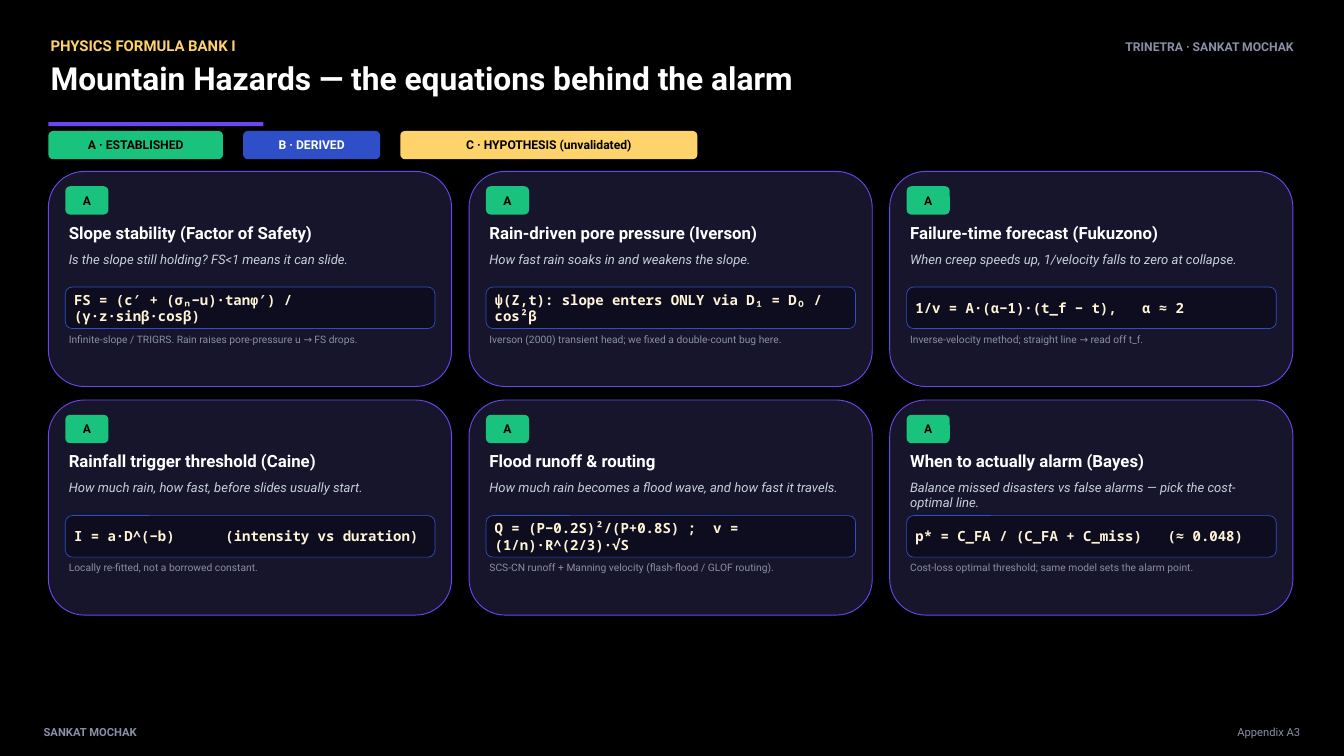
from dataclasses import dataclass
from typing import NamedTuple, Optional

from lxml.etree import SubElement
from pptx import Presentation
from pptx.dml.color import RGBColor
from pptx.enum.shapes import MSO_SHAPE as Preset
from pptx.enum.text import MSO_ANCHOR as Anchor, MSO_AUTO_SIZE as AutoSize, PP_ALIGN as Align
from pptx.oxml.ns import qn
from pptx.shapes.autoshape import Shape
from pptx.slide import Slide
from pptx.util import Cm, Pt


class TextStyle(NamedTuple):
    size: float
    color: str
    bold: bool = False
    italic: bool = False
    font: str = "Roboto"
    spacing: Optional[float] = None


@dataclass(frozen=True)
class Theme:
    black: str = "000000"
    white: str = "FFFFFF"
    purple: str = "6A45F0"
    green: str = "19C37D"
    blue: str = "2F4FC9"
    yellow: str = "FFD36B"
    card: str = "16152B"
    formula_panel: str = "0E0D1F"
    kicker: TextStyle = TextStyle(16, "FFD36B", bold=True)
    title: TextStyle = TextStyle(34, "FFFFFF", bold=True)
    team: TextStyle = TextStyle(13, "8A90A6", bold=True)
    footer: TextStyle = TextStyle(12, "8A90A6", bold=True)
    appendix: TextStyle = TextStyle(12, "8A90A6")
    dark_badge: TextStyle = TextStyle(13, "000000", bold=True)
    light_badge: TextStyle = TextStyle(13, "FFFFFF", bold=True)
    heading: TextStyle = TextStyle(18, "FFFFFF", bold=True)
    question: TextStyle = TextStyle(14, "C8D1D9", italic=True, spacing=0.95)
    formula: TextStyle = TextStyle(15, "FFF4D6", bold=True, font="Noto Sans Mono")
    note: TextStyle = TextStyle(11, "8A90A6", spacing=0.9)


class Box(NamedTuple):
    """Left, top, width and height in centimetres."""
    left: float
    top: float
    width: float
    height: float


class Grade(NamedTuple):
    label: str
    width: float
    fill: str
    style: TextStyle


class Card(NamedTuple):
    """One equation; tab is where the formula's second part starts, in centimetres."""
    heading: str
    question: str
    formula: str
    note: str
    tab: Optional[float] = None


THEME = Theme()
LEFT, LEGEND_TOP, LEGEND_GAP, BADGE_HEIGHT = 1.83, 4.95, 0.76, 1.07
COLUMNS, CARD_TOP, CARD_WIDTH, CARD_HEIGHT = 3, 6.48, 15.24, 8.13
COLUMN_PITCH, ROW_PITCH = 15.9, 8.64
CARD_INSET, CONTENT_WIDTH = 0.64, 13.97

GRADES = [
    Grade("A · ESTABLISHED", 6.6, THEME.green, THEME.dark_badge),
    Grade("B · DERIVED", 5.18, THEME.blue, THEME.light_badge),
    Grade("C · HYPOTHESIS (unvalidated)", 11.23, THEME.yellow, THEME.dark_badge),
]

CARDS = [
    Card("Slope stability (Factor of Safety)",
         "Is the slope still holding? FS<1 means it can slide.",
         "FS = (c′ + (σₙ−u)·tanφ′) / (γ·z·sinβ·cosβ)",
         "Infinite-slope / TRIGRS. Rain raises pore-pressure u → FS drops."),
    Card("Rain-driven pore pressure (Iverson)",
         "How fast rain soaks in and weakens the slope.",
         "ψ(Z,t): slope enters ONLY via D₁ = D₀ / cos²β",
         "Iverson (2000) transient head; we fixed a double-count bug here."),
    Card("Failure-time forecast (Fukuzono)",
         "When creep speeds up, 1/velocity falls to zero at collapse.",
         "1/v = A·(α−1)·(t_f − t),\tα ≈ 2",
         "Inverse-velocity method; straight line → read off t_f.", tab=8.57),
    Card("Rainfall trigger threshold (Caine)",
         "How much rain, how fast, before slides usually start.",
         "I = a·D^(−b)\t(intensity vs duration)",
         "Locally re-fitted, not a borrowed constant.", tab=5.72),
    Card("Flood runoff & routing",
         "How much rain becomes a flood wave, and how fast it travels.",
         "Q = (P−0.2S)²/(P+0.8S) ;\tv = (1/n)·R^(2/3)·√S",
         "SCS-CN runoff + Manning velocity (flash-flood / GLOF routing).", tab=8.26),
    Card("When to actually alarm (Bayes)",
         "Balance missed disasters vs false alarms — pick the cost-optimal line.",
         "p* = C_FA / (C_FA + C_miss)\t(≈ 0.048)",
         "Cost-loss optimal threshold; same model sets the alarm point.", tab=9.53),
]


def lengths(box: Box) -> list[Cm]:
    return [Cm(value) for value in box]


def write(shape: Shape, text: str, style: TextStyle, align: Align = Align.LEFT,
          tab: Optional[float] = None) -> None:
    para = shape.text_frame.paragraphs[0]
    if tab is not None:
        tabs = SubElement(para._p.get_or_add_pPr(), qn("a:tabLst"))
        SubElement(tabs, qn("a:tab"), pos=str(Cm(tab)), algn="l")
    para.alignment = align
    if style.spacing:
        para.line_spacing = style.spacing
    span = para.add_run()
    span.text = text
    span.font.name = style.font
    span.font.size = Pt(style.size)
    span.font.bold = style.bold
    span.font.italic = style.italic
    span.font.color.rgb = RGBColor.from_string(style.color)


def format_frame(shape: Shape, anchor: Anchor = Anchor.TOP) -> None:
    frame = shape.text_frame
    frame.word_wrap = True
    frame.auto_size = AutoSize.SHAPE_TO_FIT_TEXT
    frame.vertical_anchor = anchor
    frame.margin_left = frame.margin_right = Cm(0.13)
    frame.margin_top = frame.margin_bottom = Cm(0.05)


def add_text(page: Slide, box: Box, text: str, style: TextStyle, align: Align = Align.LEFT,
             anchor: Anchor = Anchor.TOP, tab: Optional[float] = None) -> None:
    shape = page.shapes.add_textbox(*lengths(box))
    format_frame(shape, anchor)
    write(shape, text, style, align, tab)


def add_panel(page: Slide, box: Box, fill: str, line: Optional[str] = None,
              weight: float = 1, preset: Preset = Preset.ROUNDED_RECTANGLE) -> Shape:
    panel = page.shapes.add_shape(preset, *lengths(box))
    panel.shadow.inherit = False
    panel.fill.solid()
    panel.fill.fore_color.rgb = RGBColor.from_string(fill)
    if line:
        panel.line.color.rgb = RGBColor.from_string(line)
        panel.line.width = Pt(weight)
    else:
        panel.line.fill.background()
    return panel


def add_badge(page: Slide, box: Box, text: str, fill: str, style: TextStyle) -> None:
    badge = add_panel(page, box, fill)
    badge.text_frame.word_wrap = False
    badge.text_frame.vertical_anchor = Anchor.MIDDLE
    write(badge, text, style, Align.CENTER)


def add_header(page: Slide) -> None:
    title = page.shapes.title
    title.left, title.top, title.width, title.height = lengths(Box(1.78, 2.18, 44.45, 2.41))
    format_frame(title)
    write(title, "Mountain Hazards — the equations behind the alarm", THEME.title)
    add_text(page, Box(1.78, 1.32, 40.64, 1.02), "PHYSICS FORMULA BANK I", THEME.kicker)
    add_text(page, Box(34.29, 1.42, 14.73, 1.02), "TRINETRA · SANKAT MOCHAK", THEME.team, Align.RIGHT)
    add_panel(page, Box(LEFT, 4.62, 8.13, 0.15), THEME.purple, preset=Preset.RECTANGLE)


def add_legend(page: Slide) -> None:
    left = LEFT
    for grade in GRADES:
        add_badge(page, Box(left, LEGEND_TOP, grade.width, BADGE_HEIGHT),
                  grade.label, grade.fill, grade.style)
        left += grade.width + LEGEND_GAP


def add_card(page: Slide, card: Card, left: float, top: float) -> None:
    inner = left + CARD_INSET
    add_panel(page, Box(left, top, CARD_WIDTH, CARD_HEIGHT), THEME.card, THEME.purple)
    add_badge(page, Box(inner, top + 0.56, 1.63, BADGE_HEIGHT), "A", THEME.green, THEME.dark_badge)
    add_text(page, Box(inner, top + 1.88, CONTENT_WIDTH, 1.27), card.heading, THEME.heading)
    add_text(page, Box(inner, top + 3, CONTENT_WIDTH, 1.4), card.question, THEME.question)
    add_panel(page, Box(inner, top + 4.37, CONTENT_WIDTH, 1.57), THEME.formula_panel, THEME.blue, 0.75)
    add_text(page, Box(inner + 0.2, top + 4.47, CONTENT_WIDTH - 0.4, 1.37), card.formula,
             THEME.formula, anchor=Anchor.MIDDLE, tab=card.tab)
    add_text(page, Box(inner, top + 6.1, CONTENT_WIDTH, 1.02), card.note, THEME.note)


def main() -> None:
    deck = Presentation()
    deck.slide_width, deck.slide_height = Cm(50.8), Cm(50.8 * 9 / 16)
    page = deck.slides.add_slide(deck.slide_layouts.get_by_name("Title Only"))
    page.background.fill.solid()
    page.background.fill.fore_color.rgb = RGBColor.from_string(THEME.black)
    add_header(page)
    add_legend(page)
    for index, card in enumerate(CARDS):
        row, column = divmod(index, COLUMNS)
        add_card(page, card, LEFT + column * COLUMN_PITCH, CARD_TOP + row * ROW_PITCH)
    add_text(page, Box(1.52, 27.38, 15.24, 0.76), "SANKAT MOCHAK", THEME.footer)
    add_text(page, Box(34.04, 27.38, 15.24, 0.76), "Appendix A3", THEME.appendix, Align.RIGHT)
    deck.save("out.pptx")


if __name__ == "__main__":
    main()
